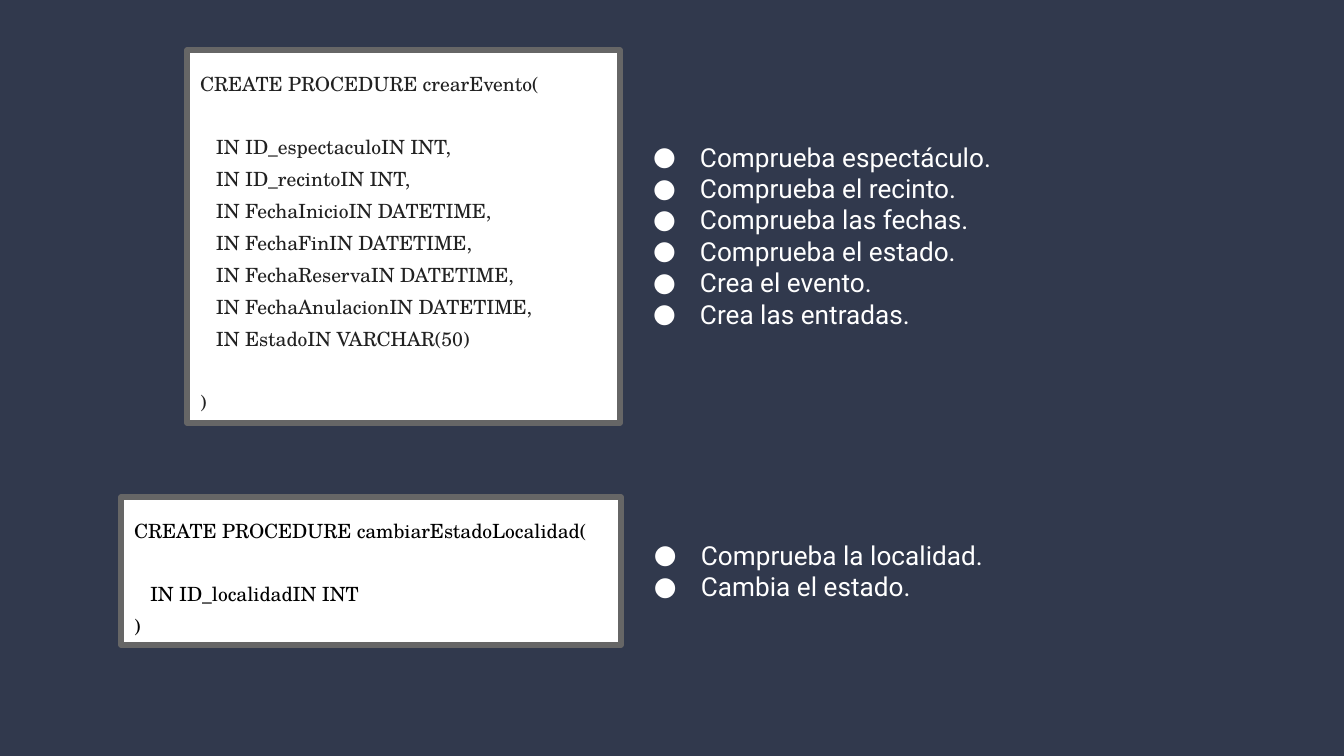
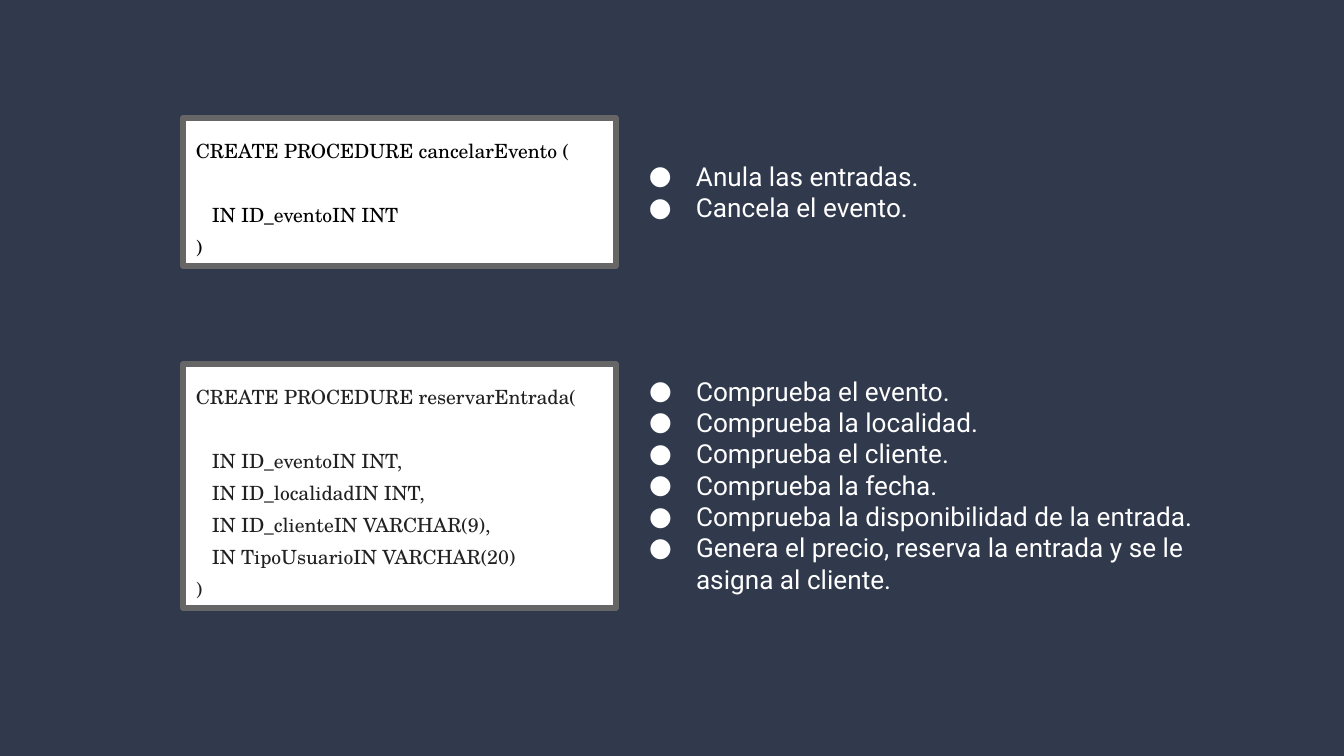
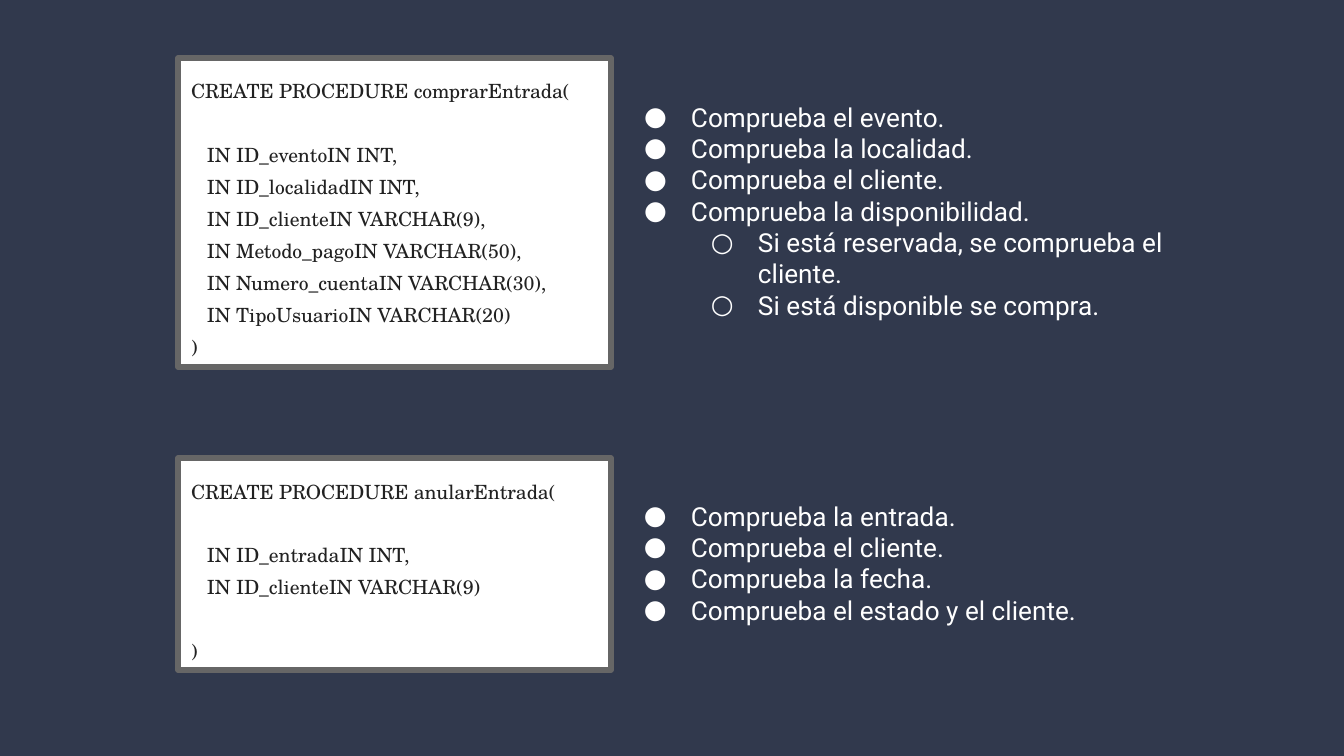
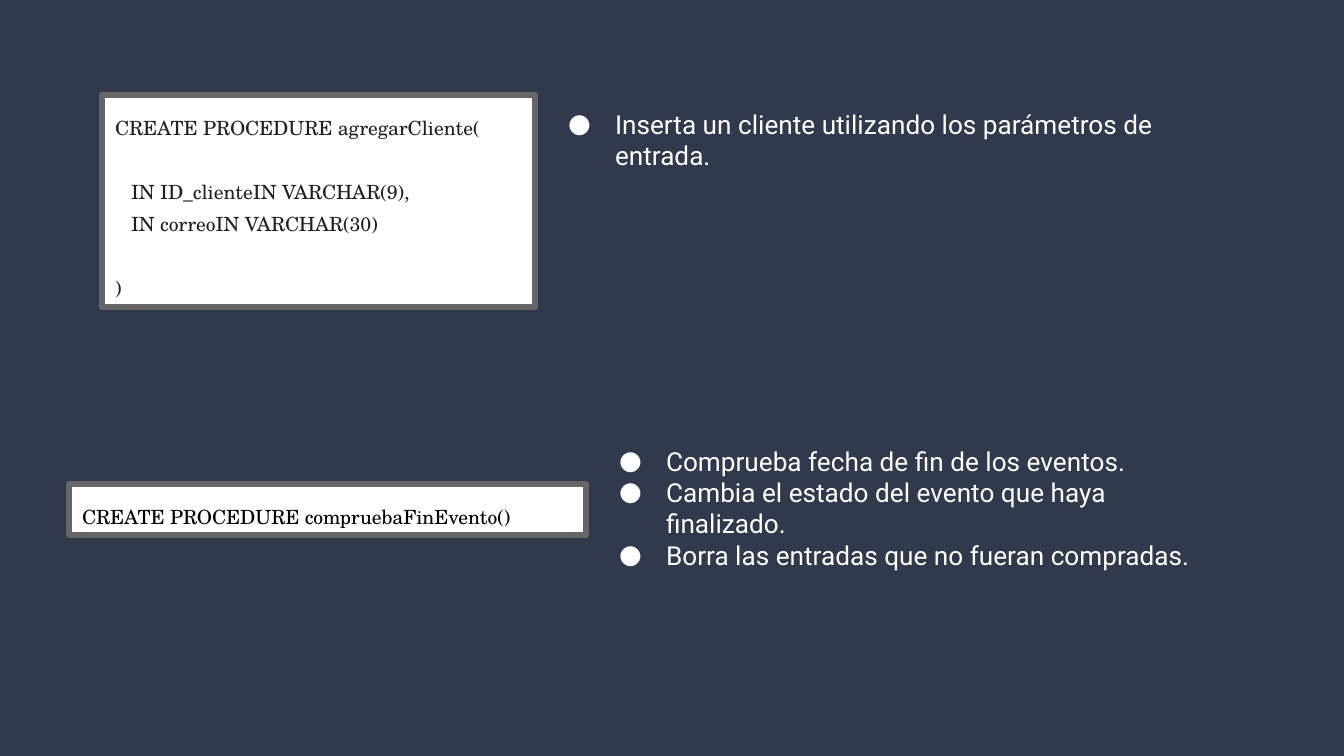
from dataclasses import dataclass

from lxml import etree
from pptx import Presentation
from pptx.dml.color import RGBColor
from pptx.enum.shapes import MSO_SHAPE
from pptx.enum.text import MSO_ANCHOR, MSO_AUTO_SIZE, PP_ALIGN
from pptx.oxml.ns import qn
from pptx.util import Pt

EMU_PER_PX = 914400 / 134.4
PAGE_WIDTH, PAGE_HEIGHT = 1344, 756

NAVY = RGBColor(0x31, 0x39, 0x4D)
WHITE = RGBColor(0xFF, 0xFF, 0xFF)
GRAY = RGBColor(0x66, 0x66, 0x66)
INK = RGBColor(0x21, 0x21, 0x21)
BLACK = RGBColor(0, 0, 0)

RECTANGLE = MSO_SHAPE.RECTANGLE
TOP = MSO_ANCHOR.TOP
LEFT = PP_ALIGN.LEFT
GROW = MSO_AUTO_SIZE.SHAPE_TO_FIT_TEXT

CODE_FONT = {"name": "TeX Gyre Schola", "size": Pt(10.5)}
LIST_FONT = {"name": "Roboto", "size": Pt(14)}
CODE_PARA = {"alignment": LEFT, "line_spacing": 1.36}
BLANK_LINE = Pt(17)
PADDING = 13
CODE_INDENT = 16
LEVEL_INDENT, BULLET_HANG = 67, 47
BULLETS = "●○"


@dataclass
class Procedure:
    """A code box and the list of steps beside it."""
    left: int
    top: int
    width: int
    heading: str
    params: list
    steps: list
    list_width: int
    list_lines: int
    gap_before_close: bool = False
    color: RGBColor = INK
    align_tops: bool = False


SLIDES = [
    [
        Procedure(
            187, 50, 433, "CREATE PROCEDURE crearEvento(",
            ["IN ID_espectaculoIN INT,", "IN ID_recintoIN INT,",
             "IN FechaInicioIN DATETIME,", "IN FechaFinIN DATETIME,",
             "IN FechaReservaIN DATETIME,", "IN FechaAnulacionIN DATETIME,",
             "IN EstadoIN VARCHAR(50)"],
            ["Comprueba espectáculo.", "Comprueba el recinto.",
             "Comprueba las fechas.", "Comprueba el estado.",
             "Crea el evento.", "Crea las entradas."],
            417, 6, gap_before_close=True),
        Procedure(
            121, 497, 500, "CREATE PROCEDURE cambiarEstadoLocalidad(",
            ["IN ID_localidadIN INT"],
            ["Comprueba la localidad.", "Cambia el estado."],
            396, 2, color=BLACK),
    ],
    [
        Procedure(
            183, 118, 433, "CREATE PROCEDURE cancelarEvento (",
            ["IN ID_eventoIN INT"],
            ["Anula las entradas.", "Cancela el evento."],
            349, 2, color=BLACK),
        Procedure(
            183, 364, 433, "CREATE PROCEDURE reservarEntrada(",
            ["IN ID_eventoIN INT,", "IN ID_localidadIN INT,",
             "IN ID_clienteIN VARCHAR(9),", "IN TipoUsuarioIN VARCHAR(20)"],
            ["Comprueba el evento.", "Comprueba la localidad.",
             "Comprueba el cliente.", "Comprueba la fecha.",
             "Comprueba la disponibilidad de la entrada.",
             "Genera el precio, reserva la entrada y se le asigna al cliente."],
            644, 7),
    ],
    [
        Procedure(
            178, 58, 433, "CREATE PROCEDURE comprarEntrada(",
            ["IN ID_eventoIN INT,", "IN ID_localidadIN INT,",
             "IN ID_clienteIN VARCHAR(9),", "IN Metodo_pagoIN VARCHAR(50),",
             "IN Numero_cuentaIN VARCHAR(30),", "IN TipoUsuarioIN VARCHAR(20)"],
            ["Comprueba el evento.", "Comprueba la localidad.",
             "Comprueba el cliente.", "Comprueba la disponibilidad.",
             ["Si está reservada, se comprueba el cliente.",
              "Si está disponible se compra."]],
            644, 7),
        Procedure(
            178, 458, 433, "CREATE PROCEDURE anularEntrada(",
            ["IN ID_entradaIN INT,", "IN ID_clienteIN VARCHAR(9)"],
            ["Comprueba la entrada.", "Comprueba el cliente.",
             "Comprueba la fecha.", "Comprueba el estado y el cliente."],
            496, 4, gap_before_close=True),
    ],
    [
        Procedure(
            102, 95, 433, "CREATE PROCEDURE agregarCliente(",
            ["IN ID_clienteIN VARCHAR(9),", "IN correoIN VARCHAR(30)"],
            ["Inserta un cliente utilizando los parámetros de entrada."],
            644, 2, gap_before_close=True, align_tops=True),
        Procedure(
            69, 484, 517, "CREATE PROCEDURE compruebaFinEvento()", [],
            ["Comprueba fecha de fin de los eventos.",
             "Cambia el estado del evento que haya finalizado.",
             "Borra las entradas que no fueran compradas."],
            644, 4, color=BLACK),
    ],
]


def px(length):
    return round(length * EMU_PER_PX)


def apply(target, values):
    for name, value in values.items():
        setattr(target, name, value)


def set_indent(para, margin, first_line=0):
    props = para._p.get_or_add_pPr()
    props.set("marL", str(px(margin)))
    props.set("indent", str(px(first_line)))
    return props


class ProcedureDeck:
    def __init__(self):
        self.deck = Presentation()
        apply(self.deck, {"slide_width": px(PAGE_WIDTH),
                          "slide_height": px(PAGE_HEIGHT)})
        background = self.deck.slide_master.background.fill
        background.solid()
        background.fore_color.rgb = NAVY
        self.page = None

    def add_page(self):
        self.page = self.deck.slides.add_slide(self.deck.slide_layouts[6])

    def prepare_frame(self, box):
        frame = box.text_frame
        apply(frame, {"word_wrap": True, "auto_size": GROW,
                      "vertical_anchor": TOP})
        for side in ("left", "top", "right", "bottom"):
            setattr(frame, f"margin_{side}", px(PADDING))
        return frame

    def add_para(self, frame, text, font, color):
        first = frame.paragraphs[0]
        para = frame.add_paragraph() if first.runs else first
        span = para.add_run()
        span.text = text
        apply(span.font, font)
        span.font.color.rgb = color
        return para

    def code_box(self, item, height):
        box = self.page.shapes.add_shape(
            RECTANGLE, px(item.left), px(item.top), px(item.width), px(height))
        box.shadow.inherit = False
        box.fill.solid()
        box.fill.fore_color.rgb = WHITE
        box.line.color.rgb = GRAY
        box.line.width = Pt(3)
        frame = self.prepare_frame(box)
        lines = [item.heading, *item.params] + ([")"] if item.params else [])
        for index, line in enumerate(lines):
            para = self.add_para(frame, line, CODE_FONT, item.color)
            apply(para, CODE_PARA)
            if line in item.params:
                set_indent(para, CODE_INDENT)
            if index == 1 or (line == ")" and item.gap_before_close):
                para.space_before = BLANK_LINE

    def add_steps(self, frame, steps, level=0):
        for step in steps:
            if isinstance(step, list):
                self.add_steps(frame, step, level + 1)
                continue
            para = self.add_para(frame, step, LIST_FONT, WHITE)
            para.level = level
            props = set_indent(para, LEVEL_INDENT * (level + 1), -BULLET_HANG)
            color = etree.SubElement(props, qn("a:buClr"))
            etree.SubElement(color, qn("a:srgbClr")).set("val", str(WHITE))
            etree.SubElement(props, qn("a:buFont")).set("typeface", "Roboto")
            etree.SubElement(props, qn("a:buChar")).set("char", BULLETS[level])

    def step_list(self, steps, left, top, width, height):
        box = self.page.shapes.add_textbox(px(left), px(top), px(width), px(height))
        self.add_steps(self.prepare_frame(box), steps)

    def procedure(self, item):
        """Draw the code with its steps to the right, centred on it by default."""
        code_lines = 1
        if item.params:
            code_lines = len(item.params) + 3 + item.gap_before_close
        code_height = round(19 + 32.2 * code_lines)
        list_height = round(27 + 31.7 * item.list_lines)
        offset = 0 if item.align_tops else (code_height - list_height) / 2
        self.code_box(item, code_height)
        self.step_list(item.steps, item.left + item.width,
                       round(item.top + offset), item.list_width, list_height)


def main():
    builder = ProcedureDeck()
    for procedures in SLIDES:
        builder.add_page()
        for item in procedures:
            builder.procedure(item)
    builder.deck.save("out.pptx")


if __name__ == "__main__":
    main()
